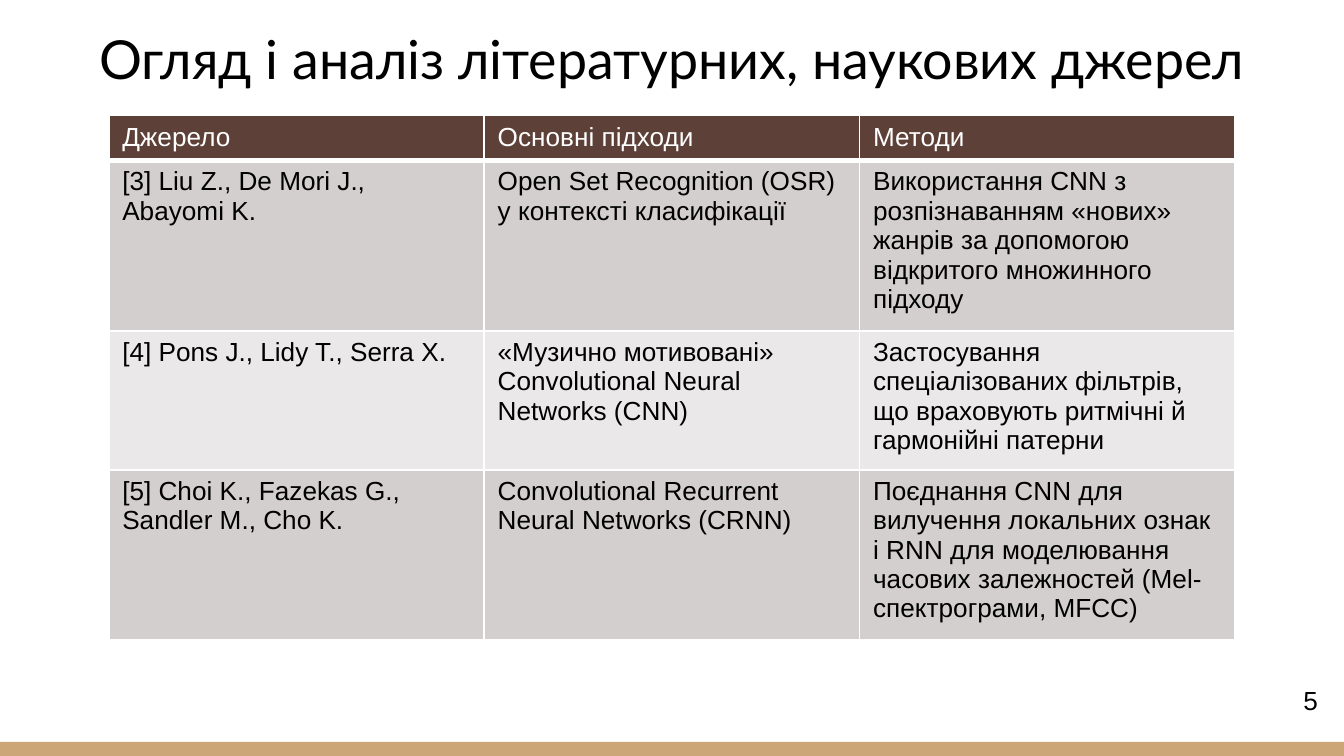
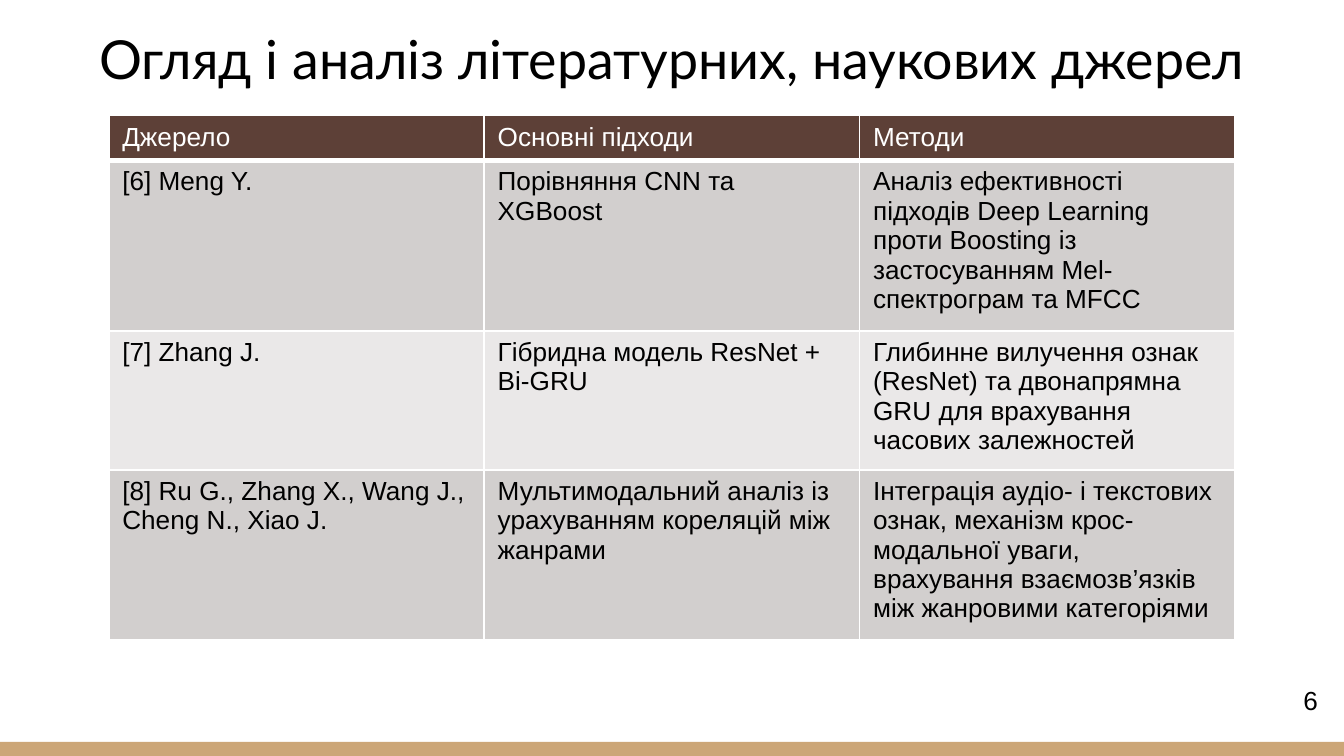
from lxml.etree import SubElement
from pptx import Presentation
from pptx.dml.color import RGBColor
from pptx.enum.shapes import MSO_SHAPE
from pptx.enum.text import MSO_ANCHOR, MSO_AUTO_SIZE, PP_ALIGN
from pptx.oxml.ns import qn
from pptx.util import Emu, Inches, Pt

COLORS = {
    "text": "000000",
    "light": "FFFFFF",
    "band": "CCA677",
    "header": "5D4037",
    "odd_row": "D2CFCE",
    "even_row": "EAE8E8",
}
WIDTH = 10
HEIGHT = WIDTH * 9 / 16
TITLE_ONLY = 5
TITLE = "Огляд і аналіз літературних, наукових джерел"
HEADINGS = ("Джерело", "Основні підходи", "Методи")
ROW_HEIGHTS = (0.25, 0.96, 0.79, 0.96)

TITLE_BOX = (0.34, -0.14, 9.32, 0.91)
TABLE_BOX = (0.81, 0.86, 8.38, 3.9)
NUMBER_BOX = (9.6, 5.04, 0.31, 0.34)
BAND_BOX = (0, 5.52, WIDTH, 0.11)

REVIEWS = {
    5: (
        ("[3] Liu Z., De Mori J., Abayomi K.",
         "Open Set Recognition (OSR) у контексті класифікації",
         "Використання CNN з розпізнаванням «нових» жанрів за допомогою "
         "відкритого множинного підходу"),
        ("[4] Pons J., Lidy T., Serra X.",
         "«Музично мотивовані» Convolutional Neural Networks (CNN)",
         "Застосування спеціалізованих фільтрів, що враховують ритмічні й "
         "гармонійні патерни"),
        ("[5] Choi K., Fazekas G., Sandler M., Cho K.",
         "Convolutional Recurrent Neural Networks (CRNN)",
         "Поєднання CNN для вилучення локальних ознак і RNN для моделювання "
         "часових залежностей (Mel-спектрограми, MFCC)"),
    ),
    6: (
        ("[6] Meng Y.",
         "Порівняння CNN та XGBoost",
         "Аналіз ефективності підходів Deep Learning проти Boosting із "
         "застосуванням Mel-спектрограм та MFCC"),
        ("[7] Zhang J.",
         "Гібридна модель ResNet + Bi-GRU",
         "Глибинне вилучення ознак (ResNet) та двонапрямна GRU для "
         "врахування часових залежностей"),
        ("[8] Ru G., Zhang X., Wang J., Cheng N., Xiao J.",
         "Мультимодальний аналіз із урахуванням кореляцій між жанрами",
         "Інтеграція аудіо- і текстових ознак, механізм крос-модальної "
         "уваги, врахування взаємозв’язків між жанровими категоріями"),
    ),
}


def color(name):
    return RGBColor.from_string(COLORS[name])


def to_emu(box):
    return [Inches(length) for length in box]


def write(frame, text, font="Arial", size=14, ink="text", align=PP_ALIGN.LEFT):
    paragraph = frame.paragraphs[0]
    paragraph.alignment = align
    run = paragraph.add_run()
    run.text = text
    run.font.name = font
    run.font.size = Pt(size)
    run.font.bold = False
    run.font.color.rgb = color(ink)


def add_title(slide, box):
    title = slide.shapes.title
    title.left, title.top, title.width, title.height = to_emu(box)
    frame = title.text_frame
    frame.auto_size = MSO_AUTO_SIZE.NONE
    frame.word_wrap = True
    frame.vertical_anchor = MSO_ANCHOR.BOTTOM
    frame.margin_left = frame.margin_right = Inches(0.1)
    frame.margin_top = frame.margin_bottom = Inches(0.1)
    write(frame, TITLE, "Lato", 28.8, align=PP_ALIGN.CENTER)


def add_band(slide, box):
    band = slide.shapes.add_shape(MSO_SHAPE.RECTANGLE, *to_emu(box))
    band.shadow.inherit = False
    band.fill.solid()
    band.fill.fore_color.rgb = color("band")
    band.line.fill.background()


def add_number(slide, box, number):
    frame = slide.shapes.add_textbox(*to_emu(box)).text_frame
    frame.word_wrap = False
    frame.auto_size = MSO_AUTO_SIZE.SHAPE_TO_FIT_TEXT
    write(frame, str(number))


def set_borders(cell, **widths):
    properties = cell._tc.get_or_add_tcPr()
    for position, (side, width) in enumerate(widths.items()):
        line = SubElement(properties, qn(f"a:ln{side}"), w=str(Pt(width)))
        fill = SubElement(line, qn("a:solidFill"))
        SubElement(fill, qn("a:srgbClr"), val=COLORS["light"])
        properties.insert(position, line)


def add_review_table(slide, box, sources):
    rows = (HEADINGS, *sources)
    holder = slide.shapes.add_table(len(rows), len(HEADINGS), *to_emu(box))
    table = holder.table
    for column in table.columns:
        column.width = Emu(Inches(box[2]) // len(HEADINGS))
    for r, (texts, height) in enumerate(zip(rows, ROW_HEIGHTS)):
        table.rows[r].height = Inches(height)
        background = "header" if r == 0 else "odd_row" if r % 2 else "even_row"
        for c, text in enumerate(texts):
            cell = table.cell(r, c)
            if r == 0:
                set_borders(cell, L=1, R=1, T=1, B=3)
            cell.fill.solid()
            cell.fill.fore_color.rgb = color(background)
            write(cell.text_frame, text, ink="text" if r else "light")
    holder.height = Inches(box[3])


def add_review_slide(deck, number, sources):
    slide = deck.slides.add_slide(deck.slide_layouts[TITLE_ONLY])
    slide.background.fill.solid()
    slide.background.fill.fore_color.rgb = color("light")
    add_band(slide, BAND_BOX)
    add_title(slide, TITLE_BOX)
    add_number(slide, NUMBER_BOX, number)
    add_review_table(slide, TABLE_BOX, sources)


def main():
    deck = Presentation()
    deck.slide_width, deck.slide_height = Inches(WIDTH), Inches(HEIGHT)
    for number, sources in REVIEWS.items():
        add_review_slide(deck, number, sources)
    deck.save("out.pptx")


if __name__ == "__main__":
    main()
